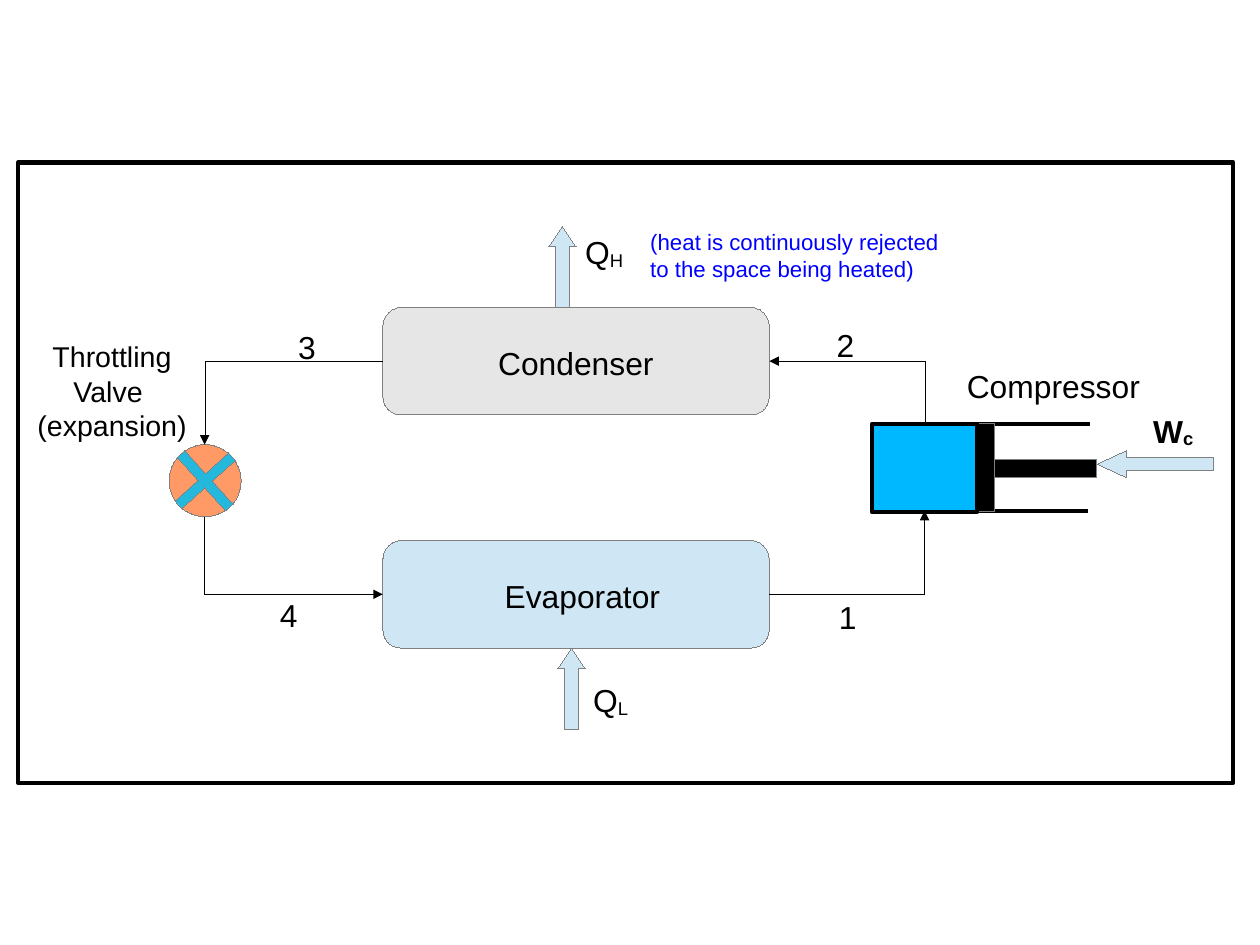
from dataclasses import dataclass

from lxml import etree
from pptx import Presentation
from pptx.dml.color import RGBColor
from pptx.enum.shapes import MSO_CONNECTOR, MSO_SHAPE
from pptx.enum.text import MSO_ANCHOR, MSO_AUTO_SIZE, PP_ALIGN
from pptx.oxml.ns import qn
from pptx.shapes.autoshape import Shape
from pptx.shapes.connector import Connector
from pptx.slide import Slide
from pptx.util import Inches, Pt

RECTANGLE = MSO_SHAPE.RECTANGLE
ROUNDED = MSO_SHAPE.ROUNDED_RECTANGLE
OVAL = MSO_SHAPE.OVAL
CROSS = MSO_SHAPE.CROSS
UP_ARROW = MSO_SHAPE.UP_ARROW
LEFT_ARROW = MSO_SHAPE.LEFT_ARROW
STRAIGHT = MSO_CONNECTOR.STRAIGHT
ELBOW = MSO_CONNECTOR.ELBOW
LEFT = PP_ALIGN.LEFT
CENTER = PP_ALIGN.CENTER
TOP = MSO_ANCHOR.TOP
FIT_SHAPE = MSO_AUTO_SIZE.SHAPE_TO_FIT_TEXT


@dataclass(frozen=True)
class Theme:
    font: str = "Arial"
    white: str = "FFFFFF"
    black: str = "000000"
    outline: str = "808080"
    condenser: str = "E6E6E6"
    pale_blue: str = "CFE7F5"
    refrigerant: str = "00B8FF"
    valve: str = "FF9966"
    valve_cross: str = "23B8DC"
    note: str = "0000FF"
    label_size: float = 20
    valve_size: float = 18
    note_size: float = 14
    thick: float = 2.83
    hairline: float = 0


THEME = Theme()


@dataclass(frozen=True)
class Part:
    kind: MSO_SHAPE
    frame: tuple[float, float, float, float]
    fill: str
    line: str = THEME.outline
    width: float = THEME.hairline
    adjustments: tuple[float, ...] = ()
    rotation: float = 0


@dataclass(frozen=True)
class Label:
    frame: tuple[float, float, float, float]
    lines: tuple[str, ...]
    subscript: str = ""
    size: float = THEME.label_size
    color: str = THEME.black
    align: PP_ALIGN = LEFT
    bold: bool = False


@dataclass(frozen=True)
class Pipe:
    start: tuple[float, float]
    end: tuple[float, float]
    vertical_first: bool


# Cycle geometry
VALVE = (1.48, 3.89, 0.63, 0.63)
VALVE_X, PORT_X = 1.79, 8.09
TANK_LEFT, TANK_RIGHT, TANK_WIDTH, TANK_HEIGHT = 3.35, 6.73, 3.38, 0.94
CONDENSER_Y, EVAPORATOR_Y = 3.16, 5.2
CYLINDER_LEFT, CYLINDER_TOP, CYLINDER_BOTTOM = 7.63, 3.71, 4.47

PARTS_BEHIND = [
    Part(RECTANGLE, (0.16, 1.42, 10.63, 5.43), THEME.white, THEME.black, THEME.thick),
    Part(ROUNDED, (TANK_LEFT, 2.69, TANK_WIDTH, TANK_HEIGHT), THEME.condenser,
         adjustments=(0.17,)),
    Part(ROUNDED, (TANK_LEFT, 4.73, TANK_WIDTH, TANK_HEIGHT), THEME.pale_blue,
         adjustments=(0.17,)),
]

CYLINDER_WALLS = [
    ((CYLINDER_LEFT, CYLINDER_TOP), (9.54, CYLINDER_TOP)),
    ((CYLINDER_LEFT, CYLINDER_BOTTOM), (9.52, CYLINDER_BOTTOM)),
    ((CYLINDER_LEFT, CYLINDER_TOP), (CYLINDER_LEFT, CYLINDER_BOTTOM)),
]

PARTS_IN_FRONT = [
    Part(RECTANGLE, (8.7, 4.02, 0.89, 0.16), THEME.black),
    Part(RECTANGLE, (8.55, CYLINDER_TOP, 0.15, 0.77), THEME.black),
    Part(RECTANGLE, (CYLINDER_LEFT, CYLINDER_TOP, 0.92, 0.77), THEME.refrigerant,
         THEME.black, THEME.thick),
    Part(LEFT_ARROW, (9.6, 3.94, 1.02, 0.24), THEME.pale_blue, adjustments=(0.5, 1.08)),
    Part(OVAL, VALVE, THEME.valve),
    Part(CROSS, VALVE, THEME.valve_cross, adjustments=(0.43,), rotation=48),
    Part(UP_ARROW, (4.8, 1.98, 0.24, 0.71), THEME.pale_blue, adjustments=(0.5, 0.75)),
    Part(UP_ARROW, (4.88, 5.67, 0.24, 0.71), THEME.pale_blue, adjustments=(0.5, 0.75)),
]

PIPES = [
    Pipe((TANK_LEFT, CONDENSER_Y), (VALVE_X, 3.89), False),
    Pipe((VALVE_X, 4.52), (TANK_LEFT, EVAPORATOR_Y), True),
    Pipe((TANK_RIGHT, EVAPORATOR_Y), (PORT_X, CYLINDER_BOTTOM), False),
    Pipe((PORT_X, CYLINDER_TOP), (TANK_RIGHT, CONDENSER_Y), True),
]

LABELS = [
    Label((4.26, 2.96, 1.73, 0.41), ("Condenser",)),
    Label((4.09, 5, 2.01, 0.41), ("Evaporator",), align=CENTER),
    Label((9.99, 3.55, 0.63, 0.5), ("W",), "c", bold=True),
    Label((8.36, 3.16, 1.72, 0.41), ("Compressor",)),
    Label((0.17, 2.92, 1.62, 0.94), ("Throttling", "Valve ", "(expansion)"),
          size=THEME.valve_size, align=CENTER),
    Label((2.51, 2.82, 0.35, 0.41), ("3",)),
    Label((2.35, 5.16, 0.35, 0.41), ("4",)),
    Label((7.24, 5.18, 0.35, 0.41), ("1",)),
    Label((7.22, 2.8, 0.35, 0.41), ("2",)),
    Label((5.09, 5.91, 0.66, 0.5), ("Q",), "L"),
    Label((5.02, 1.99, 0.65, 0.5), ("Q",), "H"),
    Label((5.59, 1.95, 2.91, 0.54),
          ("(heat is continuously rejected to the space being heated)",),
          size=THEME.note_size, color=THEME.note),
]


def set_line(item: Shape | Connector, color: str, width: float) -> None:
    item.line.color.rgb = RGBColor.from_string(color)
    # Written explicitly so that a zero width stays a hairline
    item._element.spPr.find(qn("a:ln")).set("w", str(int(Pt(width))))


def draw_part(page: Slide, part: Part) -> None:
    shape = page.shapes.add_shape(part.kind, *map(Inches, part.frame))
    shape.shadow.inherit = False
    shape.fill.solid()
    shape.fill.fore_color.rgb = RGBColor.from_string(part.fill)
    set_line(shape, part.line, part.width)
    shape.rotation = part.rotation
    for index, value in enumerate(part.adjustments):
        shape.adjustments[index] = value


def draw_line(page: Slide, kind: MSO_CONNECTOR, start: tuple[float, float],
              end: tuple[float, float], width: float) -> Connector:
    line = page.shapes.add_connector(kind, *map(Inches, (*start, *end)))
    set_line(line, THEME.black, width)
    etree.SubElement(line._element.spPr, qn("a:effectLst"))
    return line


def draw_pipe(page: Slide, pipe: Pipe) -> None:
    (x0, y0), (x1, y1) = pipe.start, pipe.end
    dx, dy = x1 - x0, y1 - y0
    width, height = abs(dx), abs(dy)
    if pipe.vertical_first:
        width, height = height, width
        rotation, flip_h, flip_v = 270, dy > 0, dx < 0
    else:
        rotation, flip_h, flip_v = (180 if dx < 0 else 0), False, (dx < 0) == (dy > 0)
    left, top = (x0 + x1 - width) / 2, (y0 + y1 - height) / 2
    line = draw_line(page, ELBOW, (left, top), (left + width, top + height), THEME.hairline)

    # One-corner elbow, turned to leave in the right direction
    properties = line._element.spPr
    properties.find(qn("a:prstGeom")).set("prst", "bentConnector2")
    transform = properties.find(qn("a:xfrm"))
    transform.set("rot", str(rotation * 60000))
    transform.set("flipH", str(int(flip_h)))
    transform.set("flipV", str(int(flip_v)))
    etree.SubElement(properties.find(qn("a:ln")), qn("a:tailEnd"), type="triangle")


def draw_label(page: Slide, label: Label) -> None:
    box = page.shapes.add_textbox(*map(Inches, label.frame))
    frame = box.text_frame
    frame.word_wrap = True
    frame.auto_size = FIT_SHAPE
    frame.vertical_anchor = TOP
    for index, text in enumerate(label.lines):
        para = frame.add_paragraph() if index else frame.paragraphs[0]
        para.alignment = label.align
        for piece in filter(None, (text, label.subscript)):
            span = para.add_run()
            span.text = piece
            span.font.name = THEME.font
            span.font.size = Pt(label.size)
            span.font.bold = label.bold
            span.font.color.rgb = RGBColor.from_string(label.color)
            if piece == label.subscript:
                span.font._element.set("baseline", "-8000")


def main() -> None:
    deck = Presentation()
    # 28 by 21 centimetres
    deck.slide_width = Inches(28 / 2.54)
    deck.slide_height = Inches(21 / 2.54)
    page = deck.slides.add_slide(deck.slide_layouts[6])

    # Border and heat exchangers, then compressor, valve and heat arrows
    for part in PARTS_BEHIND:
        draw_part(page, part)
    for start, end in CYLINDER_WALLS:
        draw_line(page, STRAIGHT, start, end, THEME.thick)
    for part in PARTS_IN_FRONT:
        draw_part(page, part)

    # Refrigerant loop and wording
    for pipe in PIPES:
        draw_pipe(page, pipe)
    for label in LABELS:
        draw_label(page, label)
    deck.save("out.pptx")


if __name__ == "__main__":
    main()
